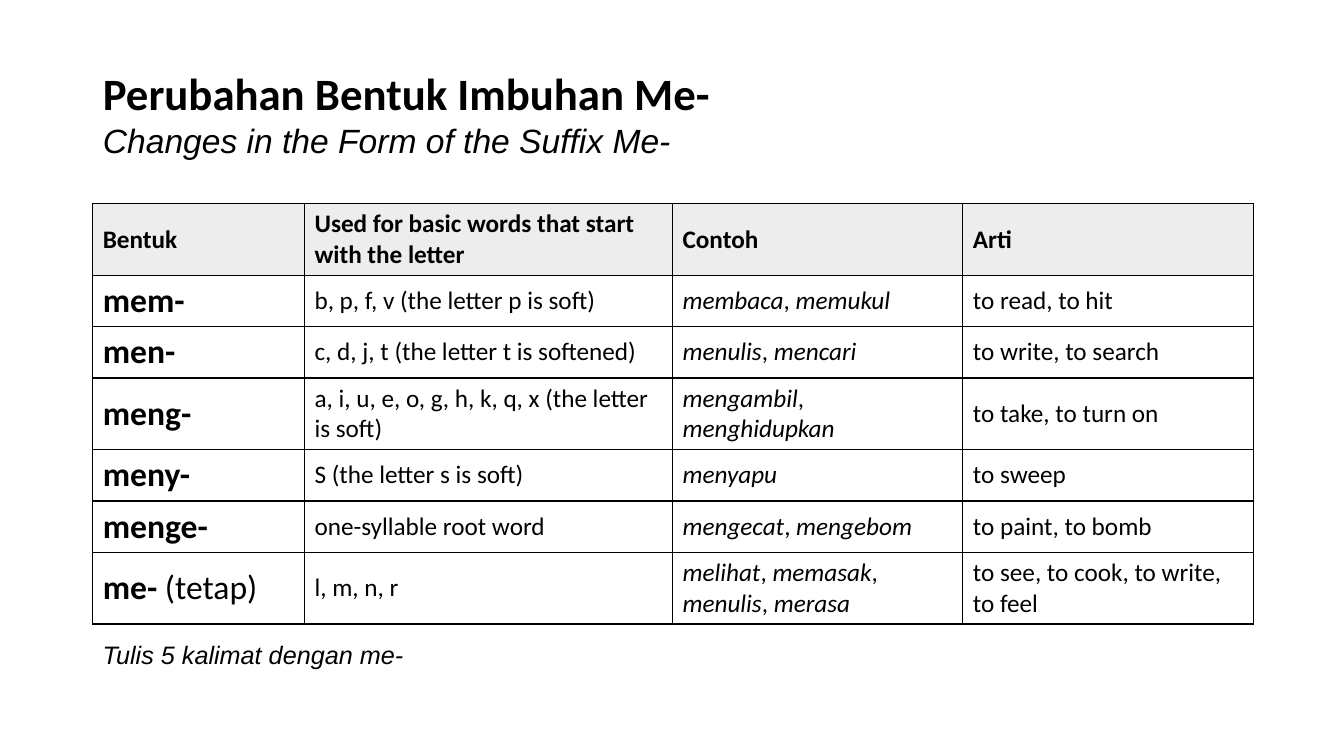
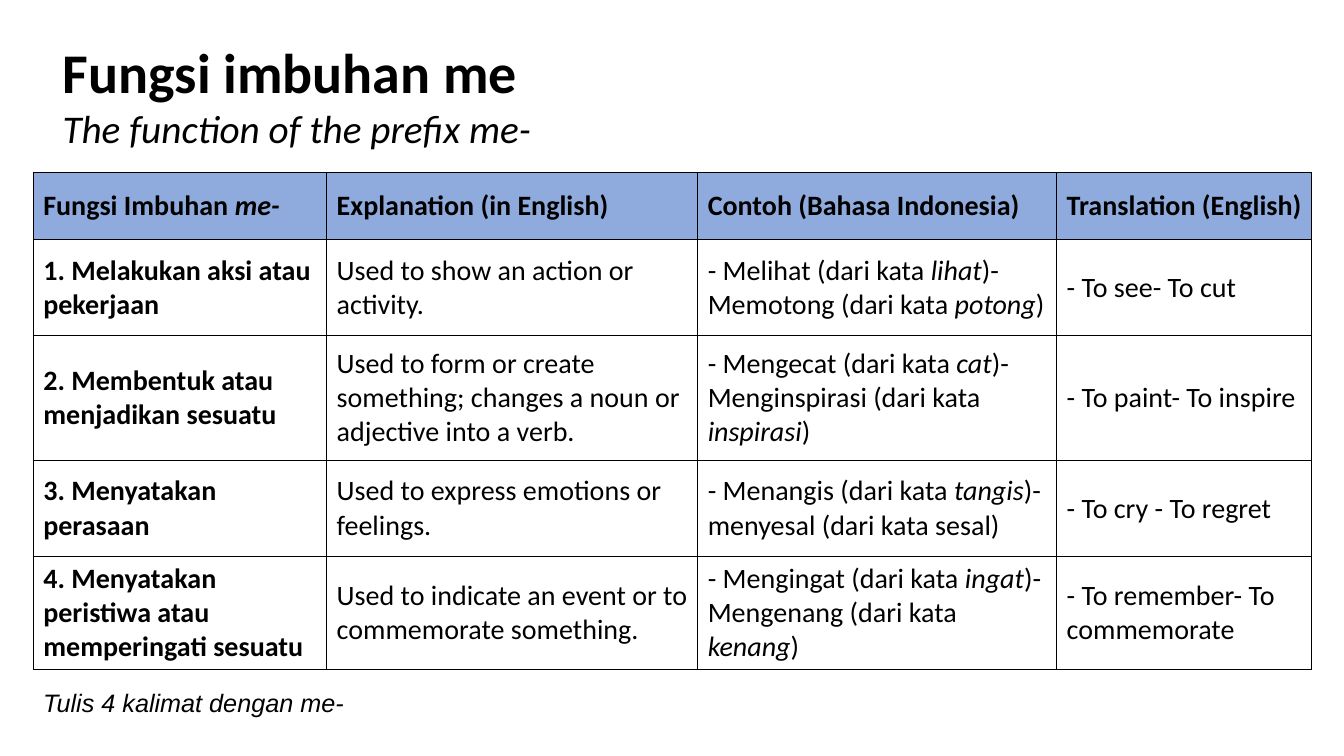
from dataclasses import dataclass

from lxml import etree
from pptx import Presentation
from pptx.dml.color import RGBColor
from pptx.enum.text import MSO_ANCHOR, MSO_AUTO_SIZE, PP_ALIGN
from pptx.oxml.ns import qn
from pptx.slide import Slide
from pptx.table import _Cell
from pptx.text.text import TextFrame, _Paragraph
from pptx.util import Emu, Pt

MIDDLE, TOP = MSO_ANCHOR.MIDDLE, MSO_ANCHOR.TOP
LEFT = PP_ALIGN.LEFT
NO_AUTOFIT = MSO_AUTO_SIZE.NONE
TITLE_ONLY = 5
EMU_PER_PX = 9144
BORDER_TAGS = ("a:lnL", "a:lnR", "a:lnT", "a:lnB")


@dataclass(frozen=True)
class Theme:
    ink: str = "000000"
    gray: str = "EDEDED"
    blue: str = "8FAADC"
    body_font: str = "Calibri"
    note_font: str = "Arial"
    note_size: int = 18
    border: int = 1


THEME = Theme()


@dataclass(frozen=True)
class TextStyle:
    size: int
    bold: bool = False
    italic: bool = False
    font: str = THEME.body_font
    emphasis: str = "italic"


@dataclass(frozen=True)
class Box:
    left: int
    top: int
    width: int
    height: int


@dataclass(frozen=True)
class Line:
    text: str
    style: TextStyle


@dataclass(frozen=True)
class TableSpec:
    left: int
    top: int
    columns: tuple[int, ...]
    rows: tuple[int, ...]
    header_fill: str
    header_style: TextStyle
    column_styles: tuple[TextStyle, ...]
    texts: tuple[tuple[str, ...], ...]


@dataclass(frozen=True)
class SlideSpec:
    title_box: Box
    title: tuple[Line, ...]
    table: TableSpec
    note_box: Box
    note: str


NOTE = TextStyle(THEME.note_size, italic=True, font=THEME.note_font)
FORM = TextStyle(24, emphasis="bold")
FORM_BODY = TextStyle(18)
FUNCTION_HEADER = TextStyle(20, bold=True)
FUNCTION_BODY = TextStyle(20)

# Asterisks enclose the emphasised part of a text.
SLIDES = (
    SlideSpec(
        title_box=Box(92, 60, 739, 104),
        title=(
            Line("Perubahan Bentuk Imbuhan Me-", TextStyle(32, bold=True)),
            Line("Changes in the Form of the Suffix Me-",
                 TextStyle(24, italic=True, font=THEME.note_font)),
        ),
        table=TableSpec(
            left=92, top=202,
            columns=(210, 365, 288, 288),
            rows=(71, 51, 51, 71, 51, 51, 71),
            header_fill=THEME.gray,
            header_style=TextStyle(18, bold=True),
            column_styles=(FORM, FORM_BODY, FORM_BODY, FORM_BODY),
            texts=(
                ("Bentuk", "Used for basic words that start with the letter", "Contoh", "Arti"),
                ("*mem-*", "b, p, f, v (the letter p is soft)",
                 "*membaca*, *memukul*", "to read, to hit"),
                ("*men-*", "c, d, j, t (the letter t is softened)",
                 "*menulis*, *mencari*", "to write, to search"),
                ("*meng-*", "a, i, u, e, o, g, h, k, q, x (the letter is soft)",
                 "*mengambil*, *menghidupkan*", "to take, to turn on"),
                ("*meny-*", "S (the letter s is soft)", "*menyapu*", "to sweep"),
                ("*menge-*", "one-syllable root word",
                 "*mengecat*, *mengebom*", "to paint, to bomb"),
                ("*me-* (tetap)", "l, m, n, r",
                 "*melihat*, *memasak*, *menulis*, *merasa*",
                 "to see, to cook, to write, to feel"),
            ),
        ),
        note_box=Box(92, 629, 340, 40),
        note="Tulis 5 kalimat dengan me-",
    ),
    SlideSpec(
        title_box=Box(52, 31, 500, 125),
        title=(
            Line("Fungsi imbuhan me", TextStyle(40, bold=True)),
            Line("The function of the prefix me-", TextStyle(28, italic=True)),
        ),
        table=TableSpec(
            left=33, top=171,
            columns=(291, 368, 356, 253),
            rows=(67, 95, 124, 95, 111),
            header_fill=THEME.blue,
            header_style=FUNCTION_HEADER,
            column_styles=(FUNCTION_HEADER, FUNCTION_BODY, FUNCTION_BODY, FUNCTION_BODY),
            texts=(
                ("Fungsi Imbuhan *me-*", "Explanation (in English)",
                 "Contoh (Bahasa Indonesia)", "Translation (English)"),
                ("1. Melakukan aksi atau pekerjaan", "Used to show an action or activity.",
                 "- Melihat (dari kata *lihat*)- Memotong (dari kata *potong*)",
                 "- To see- To cut"),
                ("2. Membentuk atau menjadikan sesuatu",
                 "Used to form or create something; changes a noun or adjective into a verb.",
                 "- Mengecat (dari kata *cat*)- Menginspirasi (dari kata *inspirasi*)",
                 "- To paint- To inspire"),
                ("3. Menyatakan perasaan", "Used to express emotions or feelings.",
                 "- Menangis (dari kata *tangis*)- menyesal (dari kata sesal)",
                 "- To cry - To regret"),
                ("4. Menyatakan peristiwa atau memperingati sesuatu",
                 "Used to indicate an event or to commemorate something.",
                 "- Mengingat (dari kata *ingat*)- Mengenang (dari kata *kenang*)",
                 "- To remember- To commemorate"),
            ),
        ),
        note_box=Box(33, 677, 340, 40),
        note="Tulis 4 kalimat dengan me-",
    ),
)


def px(length: int) -> Emu:
    return Emu(length * EMU_PER_PX)


def box_lengths(box: Box) -> tuple[Emu, Emu, Emu, Emu]:
    return px(box.left), px(box.top), px(box.width), px(box.height)


def write_line(paragraph: _Paragraph, line: Line) -> None:
    """Split the line at its asterisks into plain and emphasised runs."""
    style = line.style
    paragraph.alignment = LEFT
    for index, part in enumerate(line.text.split("*")):
        if not part:
            continue
        run = paragraph.add_run()
        run.text = part
        formats = {"name": style.font, "size": Pt(style.size),
                   "bold": style.bold, "italic": style.italic}
        if index % 2:
            formats[style.emphasis] = True
        for name, value in formats.items():
            setattr(run.font, name, value)
        run.font.color.rgb = RGBColor.from_string(THEME.ink)


def write_frame(frame: TextFrame, lines: tuple[Line, ...], anchor: MSO_ANCHOR) -> None:
    formats = {"word_wrap": True, "auto_size": NO_AUTOFIT, "vertical_anchor": anchor}
    for name, value in formats.items():
        setattr(frame, name, value)
    for index, line in enumerate(lines):
        paragraph = frame.add_paragraph() if index else frame.paragraphs[0]
        write_line(paragraph, line)


def add_borders(cell: _Cell) -> None:
    properties = cell._tc.get_or_add_tcPr()
    for tag in BORDER_TAGS:
        border = etree.SubElement(properties, qn(tag), w=str(Pt(THEME.border)))
        fill = etree.SubElement(border, qn("a:solidFill"))
        etree.SubElement(fill, qn("a:srgbClr"), val=THEME.ink)


def draw_table(slide: Slide, spec: TableSpec) -> None:
    box = Box(spec.left, spec.top, sum(spec.columns), sum(spec.rows))
    table = slide.shapes.add_table(
        len(spec.rows), len(spec.columns), *box_lengths(box)).table
    table.first_row = table.horz_banding = False
    for column, width in zip(table.columns, spec.columns):
        column.width = px(width)
    for row_index, (row, height) in enumerate(zip(table.rows, spec.rows)):
        row.height = px(height)
        is_header = row_index == 0
        for cell, text, column_style in zip(
                row.cells, spec.texts[row_index], spec.column_styles):
            cell.vertical_anchor = MIDDLE
            add_borders(cell)
            if is_header:
                cell.fill.solid()
                cell.fill.fore_color.rgb = RGBColor.from_string(spec.header_fill)
            else:
                cell.fill.background()
            style = spec.header_style if is_header else column_style
            write_line(cell.text_frame.paragraphs[0], Line(text, style))


def draw_slide(presentation: Presentation, spec: SlideSpec) -> None:
    slide = presentation.slides.add_slide(presentation.slide_layouts[TITLE_ONLY])
    title = slide.shapes.title
    title.left, title.top, title.width, title.height = box_lengths(spec.title_box)
    write_frame(title.text_frame, spec.title, MIDDLE)
    draw_table(slide, spec.table)
    note = slide.shapes.add_textbox(*box_lengths(spec.note_box))
    write_frame(note.text_frame, (Line(spec.note, NOTE),), TOP)


def main() -> None:
    presentation = Presentation()
    presentation.slide_width, presentation.slide_height = px(1333), px(750)
    for spec in SLIDES:
        draw_slide(presentation, spec)
    presentation.save("out.pptx")


if __name__ == "__main__":
    main()
